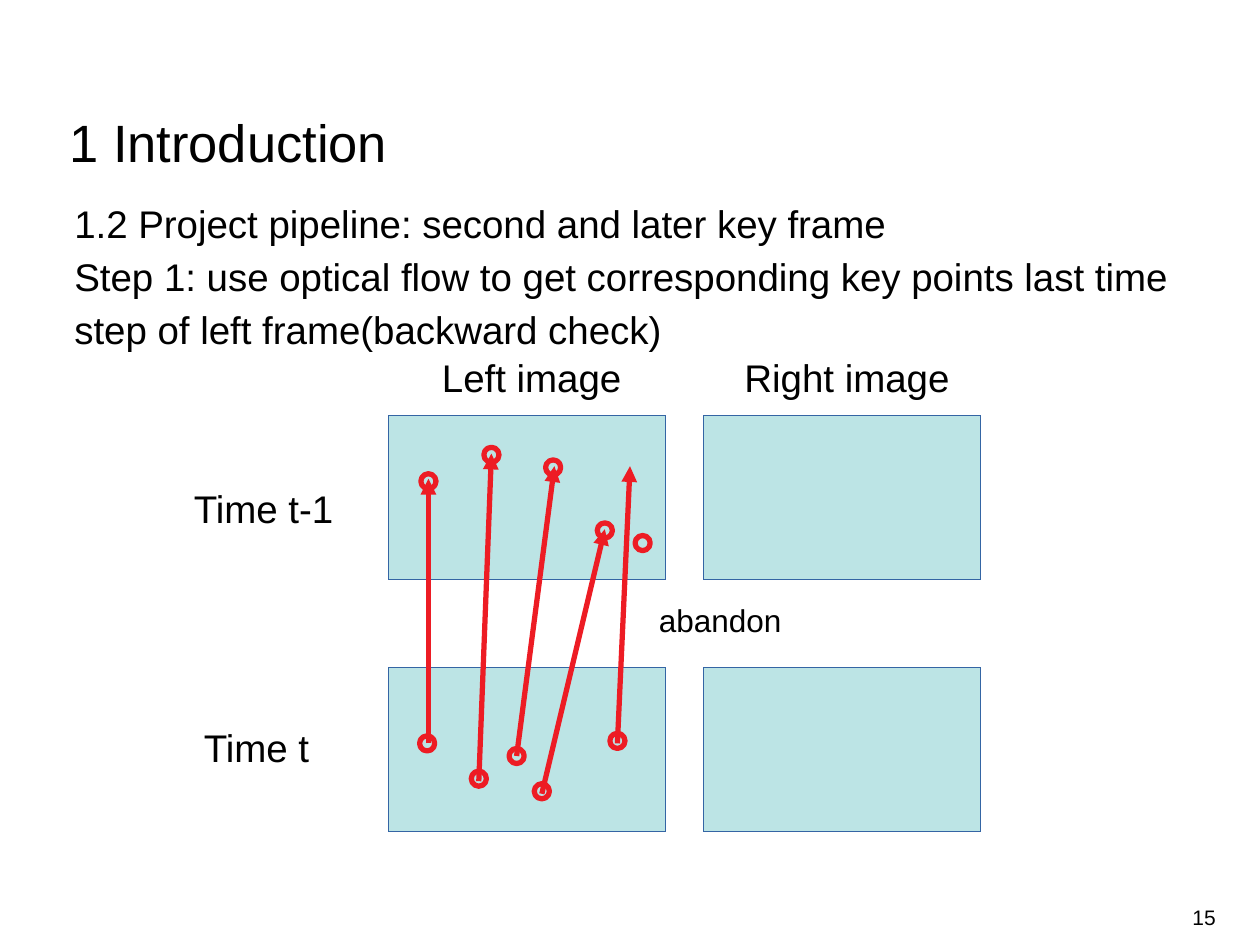
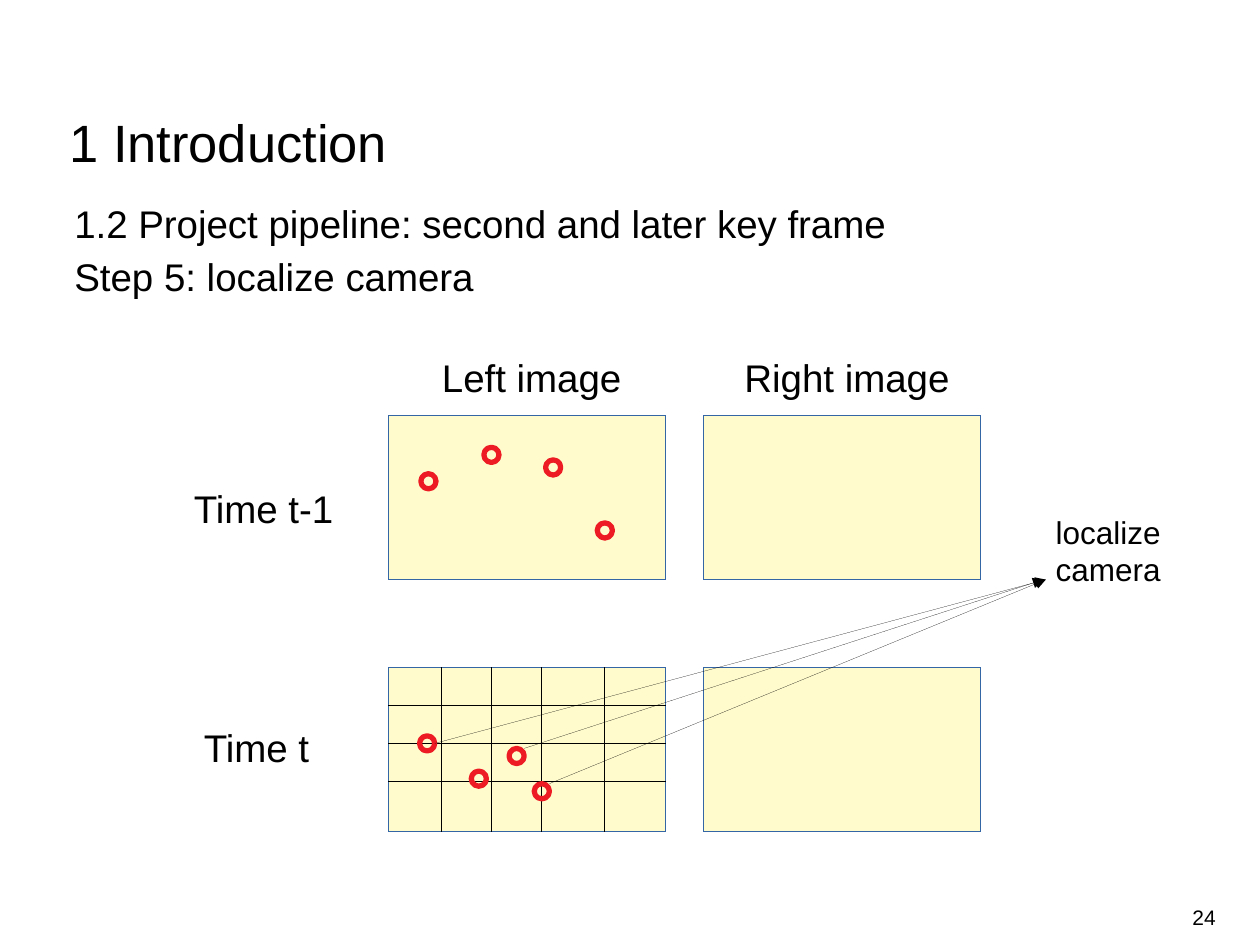
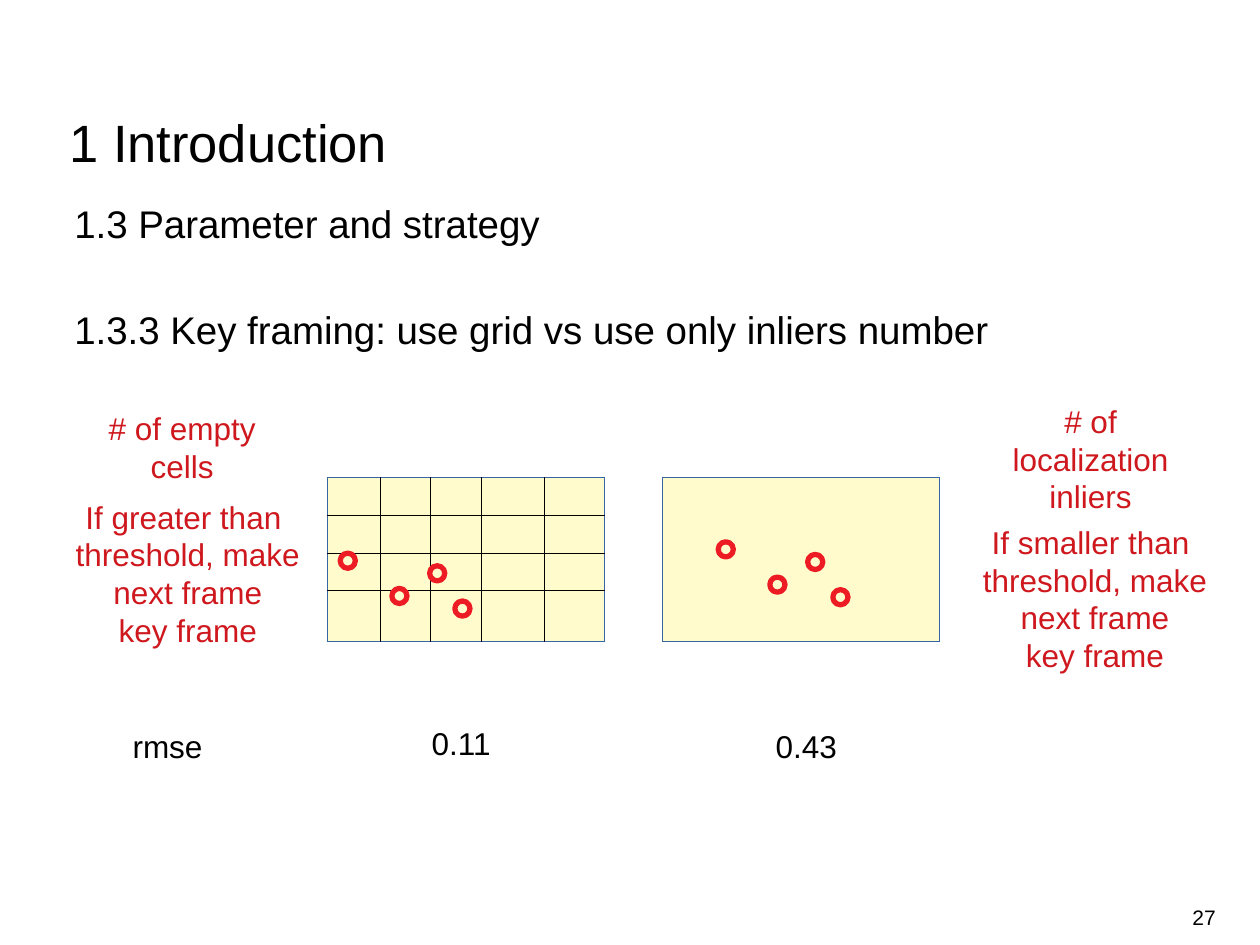
from dataclasses import dataclass
from typing import NamedTuple, Sequence

from lxml import etree
from pptx import Presentation
from pptx import util as u
from pptx.dml.color import RGBColor
from pptx.enum import shapes, text
from pptx.oxml.ns import qn

PX = 9144  # EMU per px, 100 px to the inch
FONT = "Arial"
HAIRLINE = u.Emu(1)  # thinnest explicit width; zero would fall back to the theme
BOLD_LINE = u.Pt(3)
COLORS = {
    "ink": "000000",
    "mark": "ED1C24",
    "note": "CE181E",
    "border": "3465A4",
    "blue": "BCE4E5",
    "cream": "FFFBCC",
}
LEFT, CENTER, RIGHT = text.PP_ALIGN.LEFT, text.PP_ALIGN.CENTER, text.PP_ALIGN.RIGHT


class Point(NamedTuple):
    x: int
    y: int


class Line(NamedTuple):
    start: Point
    end: Point


@dataclass(frozen=True)
class Label:
    """Text box whose lines are separate paragraphs."""
    x: int
    y: int
    width: int
    height: int
    lines: Sequence[str]
    size: int = 18
    color: str = "ink"
    align: text.PP_ALIGN = LEFT
    wrap: bool = False
    inset: tuple[int, int] = (10, 5)
    grow: bool = True
    middle: bool = False
    spacing: float | u.Length | None = None


# Camera frames
FRAME_WIDTH, FRAME_HEIGHT = 220, 130
FRAME_COLUMNS, FRAME_ROWS = (308, 558), (330, 530)
GRID_COLUMNS = (42, 82, 122, 172)
GRID_ROWS = (30, 60, 90)
DOT = 12

# Key points matched in the two left frames
POINTS_BEFORE = [Point(340, 382), Point(390, 361), Point(439, 371), Point(480, 421)]
POINTS_NOW = [Point(339, 590), Point(380, 618), Point(410, 600), Point(430, 628)]
FLOWS = [
    Line(Point(340, 590), Point(340, 380)),
    Line(Point(380, 620), Point(390, 360)),
    Line(Point(410, 600), Point(440, 370)),
    Line(Point(430, 630), Point(480, 420)),
    Line(Point(490, 590), Point(500, 370)),
]
LOST_POINTS = [Point(510, 431), Point(490, 588)]
CAMERA_RAYS = [
    Line(Point(345, 590), Point(830, 460)),
    Line(Point(436, 622), Point(830, 460)),
    Line(Point(416, 594), Point(828, 460)),
]

FRAME_LABELS = [
    Label(341, 276, 166, 44, ["Left image"], 22),
    Label(581, 276, 185, 44, ["Right image"], 22),
    Label(144, 380, 132, 78, ["Time t-1"], 22, wrap=True),
    Label(152, 570, 107, 44, ["Time t"], 22),
]


def rgb(name: str) -> RGBColor:
    return RGBColor.from_string(COLORS[name])


def add_label(slide, label: Label):
    box = slide.shapes.add_textbox(
        *(v * PX for v in (label.x, label.y, label.width, label.height)))
    frame = box.text_frame
    frame.word_wrap = label.wrap
    frame.auto_size = (text.MSO_AUTO_SIZE.SHAPE_TO_FIT_TEXT if label.grow
                       else text.MSO_AUTO_SIZE.NONE)
    frame.vertical_anchor = (text.MSO_ANCHOR.MIDDLE if label.middle
                             else text.MSO_ANCHOR.TOP)
    side, edge = label.inset
    frame.margin_left = frame.margin_right = side * PX
    frame.margin_top = frame.margin_bottom = edge * PX
    frame.text = "\n".join(label.lines)
    for paragraph in frame.paragraphs:
        paragraph.alignment = label.align
        paragraph.line_spacing = label.spacing
        font = paragraph.font
        font.name, font.size = FONT, u.Pt(label.size)
        font.color.rgb = rgb(label.color)
    return frame


def add_frame(slide, corner: Point, color: str) -> None:
    frame = slide.shapes.add_shape(
        shapes.MSO_SHAPE.RECTANGLE, corner.x * PX, corner.y * PX,
        FRAME_WIDTH * PX, FRAME_HEIGHT * PX)
    frame.shadow.inherit = False
    frame.fill.solid()
    frame.fill.fore_color.rgb = rgb(color)
    frame.line.color.rgb = rgb("border")
    frame.line.width = HAIRLINE


def add_dots(slide, centers: Sequence[Point], dx: int = 0, dy: int = 0) -> None:
    for center in centers:
        dot = slide.shapes.add_shape(
            shapes.MSO_SHAPE.OVAL, (center.x + dx - DOT // 2) * PX,
            (center.y + dy - DOT // 2) * PX, DOT * PX, DOT * PX)
        dot.shadow.inherit = False
        dot.fill.background()
        dot.line.color.rgb = rgb("mark")
        dot.line.width = BOLD_LINE


def add_lines(slide, lines: Sequence[Line], color: str = "ink",
              width: u.Length = HAIRLINE, arrow: bool = False) -> None:
    for start, end in lines:
        line = slide.shapes.add_connector(
            shapes.MSO_CONNECTOR.STRAIGHT,
            start.x * PX, start.y * PX, end.x * PX, end.y * PX)
        line.line.color.rgb = rgb(color)
        line.line.width = width
        properties = line.element.spPr
        if arrow:
            etree.SubElement(properties.find(qn("a:ln")), qn("a:tailEnd"), type="triangle")
        etree.SubElement(properties, qn("a:effectLst"))


def add_grid(slide, corner: Point) -> None:
    x, y = corner
    add_lines(slide, [Line(Point(x, y + row), Point(x + FRAME_WIDTH, y + row))
                      for row in GRID_ROWS])
    add_lines(slide, [Line(Point(x + column, y), Point(x + column, y + FRAME_HEIGHT))
                      for column in GRID_COLUMNS])


def start_slide(deck, number: int, body: Sequence[str]):
    """Add a slide with its title, body and number; return it and the body."""
    slide = deck.slides.add_slide(deck.slide_layouts[6])
    body_frame = add_label(slide, Label(
        59, 154, 885, 487, body, 22, wrap=True, inset=(0, 0), grow=False, spacing=1.14))
    add_label(slide, Label(741, 708, 224, 40, [str(number)], 12, align=RIGHT, wrap=True,
                           inset=(0, 5), grow=False, middle=True))
    add_label(slide, Label(55, 93, 685, 45, ["1 Introduction"], 30, wrap=True,
                           inset=(0, 0), grow=False, spacing=u.Pt(32)))
    return slide, body_frame


def add_stereo_frames(slide, color: str) -> None:
    for y in FRAME_ROWS:
        for x in FRAME_COLUMNS:
            add_frame(slide, Point(x, y), color)
    for label in FRAME_LABELS:
        add_label(slide, label)


def build_optical_flow(deck) -> None:
    slide, _ = start_slide(deck, 15, [
        "1.2 Project pipeline: second and later key frame",
        "Step 1: use optical flow to get corresponding key points last time step "
        "of left frame(backward check)"])
    add_stereo_frames(slide, "blue")
    add_lines(slide, FLOWS, "mark", BOLD_LINE, arrow=True)
    add_dots(slide, POINTS_BEFORE + POINTS_NOW + LOST_POINTS)
    add_label(slide, Label(513, 472, 119, 38, ["abandon"]))


def build_localization(deck) -> None:
    slide, _ = start_slide(deck, 24, [
        "1.2 Project pipeline: second and later key frame",
        "Step 5: localize camera"])
    add_stereo_frames(slide, "cream")
    add_grid(slide, Point(FRAME_COLUMNS[0], FRAME_ROWS[1]))
    add_dots(slide, POINTS_BEFORE + POINTS_NOW)
    add_lines(slide, CAMERA_RAYS, arrow=True)
    add_label(slide, Label(828, 402, 112, 66, ["localize", "camera"]))


def build_key_framing(deck) -> None:
    slide, body = start_slide(deck, 27, [
        "1.3 Parameter and strategy",
        "1.3.3 Key framing: use grid vs use only inliers number"])
    body.paragraphs[1].space_before = u.Pt(30)

    # Grid strategy beside inlier strategy
    grid_corner, inlier_corner = Point(260, 379), Point(526, 379)
    for corner in (grid_corner, inlier_corner):
        add_frame(slide, corner, "cream")
    add_grid(slide, grid_corner)
    add_dots(slide, POINTS_NOW, -63, -145)
    add_dots(slide, POINTS_NOW, 237, -154)

    # Measured quantity and rule for each strategy
    for x, y, height, measure in ((59, 320, 66, "# of empty cells"),
                                  (780, 314, 94, "# of localization inliers")):
        add_label(slide, Label(x, y, 171, height, [measure], color="note",
                               align=CENTER, wrap=True))
    for x, y, relation in ((50, 390, "greater"), (770, 410, "smaller")):
        rule = [f"If {relation} than ", "threshold, make", "next frame", "key frame"]
        add_label(slide, Label(x, y, 198, 122, rule, color="note", align=CENTER))

    # Errors
    for x, y, width, entry in ((48, 572, 170, "rmse"), (311, 570, 110, "0.11"),
                               (585, 572, 110, "0.43")):
        add_label(slide, Label(x, y, width, 38, [entry], align=CENTER, wrap=True))


def main() -> None:
    deck = Presentation()
    deck.slide_width, deck.slide_height = 1000 * PX, 750 * PX
    build_optical_flow(deck)
    build_localization(deck)
    build_key_framing(deck)
    deck.save("out.pptx")


if __name__ == "__main__":
    main()
